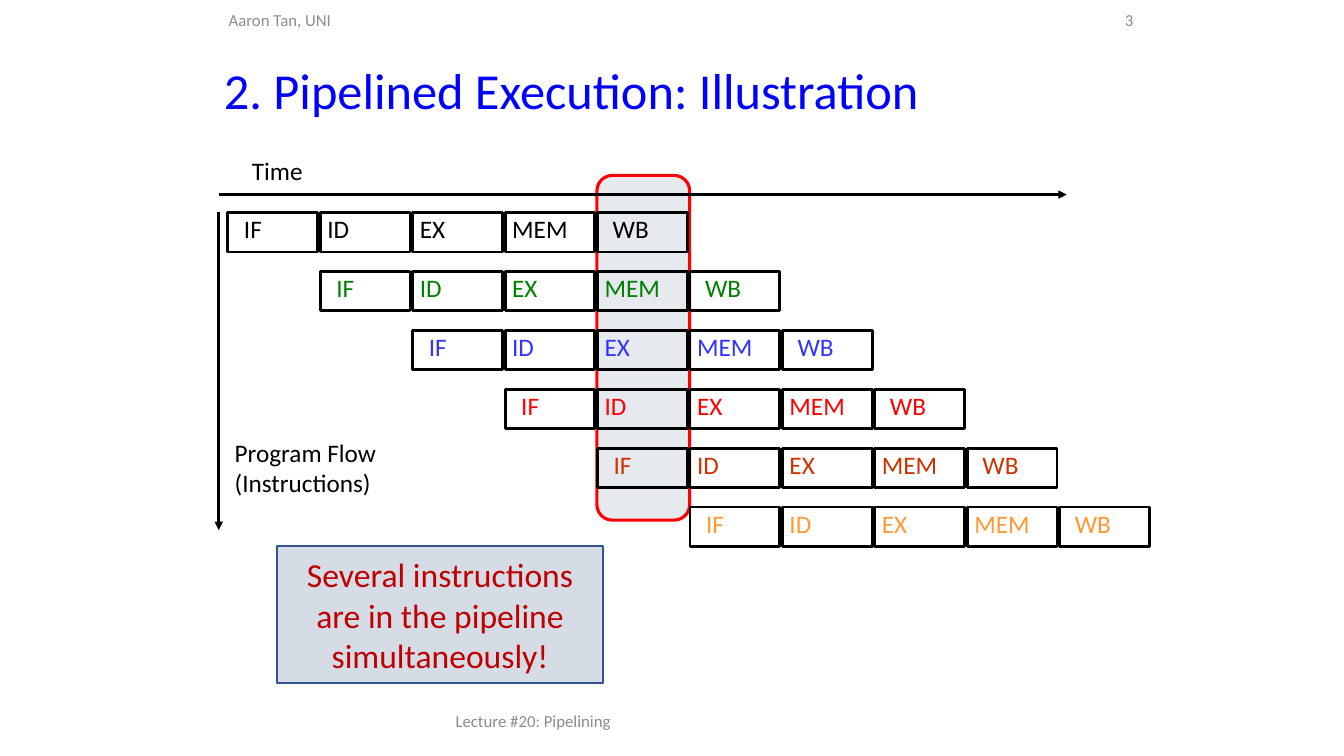
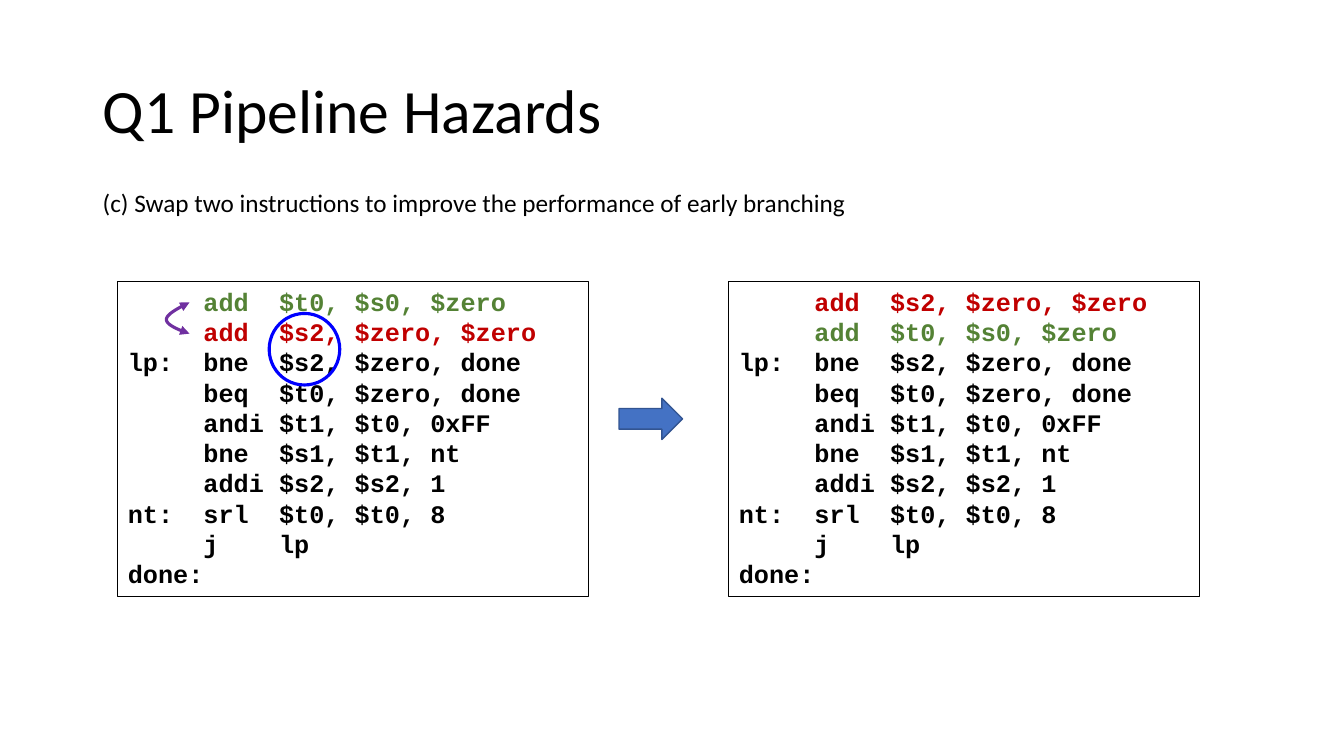
from lxml.etree import SubElement
from pptx import Presentation
from pptx.dml.color import RGBColor
from pptx.enum.shapes import MSO_CONNECTOR as Link, MSO_SHAPE as Preset
from pptx.enum.text import MSO_ANCHOR as Anchor, PP_ALIGN as Align
from pptx.oxml.ns import qn
from pptx.util import Inches, Pt

FONT, CODE_FONT = "Calibri", "Courier New"
BLACK, GREY, BLUE, RED = "000000", "8C8C8C", "0000FF", "FF0000"
PALE, CRIMSON, GREEN, EDGE = "D6DCE5", "C00000", "548235", "325491"
ACCENT, PURPLE = "4472C4", "7030A0"

MARGIN_NOTES = [
    ("Lecture #20: Pipelining", (4.42, 6.95, 4.5, 0.4), Align.LEFT),
    ("3", (10.39, 0.02, 0.95, 0.36), Align.RIGHT),
    ("Aaron Tan, UNI", (2.17, 0.02, 3.17, 0.36), Align.LEFT),
]
STAGES = [("IF", 0.16), ("ID", 0.07), ("EX", 0.07), ("MEM", 0.07), ("WB", 0.15)]
INSTRUCTION_COLOURS = [BLACK, "008000", "3333FF", RED, "CC3300", "FF9933"]
FIRST_CELL, LAST_CELL, CELL_SIZE = (2.26, 2.11), (10.51, 5.03), (0.89, 0.39)
AXES = [
    (["Program Flow", "(Instructions)"], (2.23, 4.29, 1.8, 0.7), (2.17, 2.1, 2.17, 5.26)),
    (["Time"], (2.4, 1.49, 0.9, 0.4), (2.17, 1.93, 10.58, 1.93)),
]
CALLOUT = "Several instructions are in the pipeline simultaneously!"

TASK = "(c) Swap two instructions to improve the performance of early branching"
LOAD = ("", "add", "$t0, $s0, $zero", GREEN)
CLEAR = ("", "add", "$s2, $zero, $zero", CRIMSON)
LOOP = [
    ("lp:", "bne", "$s2, $zero, done", BLACK),
    ("", "beq", "$t0, $zero, done", BLACK),
    ("", "andi", "$t1, $t0, 0xFF", BLACK),
    ("", "bne", "$s1, $t1, nt", BLACK),
    ("", "addi", "$s2, $s2, 1", BLACK),
    ("nt:", "srl", "$t0, $t0, 8", BLACK),
    ("", "j", "lp", BLACK),
    ("done:", "", "", BLACK),
]
LISTINGS = [(1.17, [LOAD, CLEAR] + LOOP), (7.23, [CLEAR, LOAD] + LOOP)]
CODE_TABS = (0.75, 1.5)
SWAP_CURVES = [
    [(1.88, 3.0), (1.76, 3.06), (1.65, 3.12), (1.65, 3.17)],
    [(1.65, 3.17), (1.65, 3.22), (1.76, 3.27), (1.88, 3.31)],
]


def colour(hex_code):
    return RGBColor.from_string(hex_code)


def add_run(paragraph, text, size, ink, font=FONT, bold=False):
    run = paragraph.add_run()
    run.text = text
    run.font.size = Pt(size)
    run.font.name = font
    run.font.bold = bold
    run.font.color.rgb = colour(ink)


def fill_lines(frame, lines, size, ink, align=Align.LEFT, anchor=Anchor.TOP):
    frame.word_wrap = True
    frame.vertical_anchor = anchor
    for index, line in enumerate(lines):
        paragraph = frame.add_paragraph() if index else frame.paragraphs[0]
        paragraph.alignment = align
        add_run(paragraph, line, size, ink)


def add_label(slide, box, lines, size, ink, **layout):
    label = slide.shapes.add_textbox(*map(Inches, box))
    fill_lines(label.text_frame, lines, size, ink, **layout)


def paint(shape, fill, edge, weight):
    shape.shadow.inherit = False
    if fill:
        shape.fill.solid()
        shape.fill.fore_color.rgb = colour(fill)
    else:
        shape.fill.background()
    shape.line.color.rgb = colour(edge)
    shape.line.width = Pt(weight)


def add_block(slide, preset, box, fill, edge, weight):
    block = slide.shapes.add_shape(preset, *map(Inches, box))
    paint(block, fill, edge, weight)
    return block


def add_arrowheads(stroke, *ends):
    line = stroke.line._get_or_add_ln()
    for end in ends:
        SubElement(line, qn("a:" + end), type="triangle")


def add_titled_slide(deck, title, box, size, ink):
    slide = deck.slides.add_slide(deck.slide_layouts[5])
    heading = slide.shapes.title
    heading.left, heading.top, heading.width, heading.height = map(Inches, box)
    fill_lines(heading.text_frame, [title], size, ink, anchor=Anchor.MIDDLE)
    heading.text_frame.paragraphs[0].line_spacing = 0.9
    return slide


def add_axis(slide, ends):
    axis = slide.shapes.add_connector(Link.STRAIGHT, *map(Inches, ends))
    axis.line.color.rgb = colour(BLACK)
    axis.line.width = Pt(2)
    add_arrowheads(axis, "tailEnd")
    SubElement(axis._element.spPr, qn("a:effectLst"))


def add_pipeline(slide):
    step = (LAST_CELL[0] - FIRST_CELL[0]) / (len(INSTRUCTION_COLOURS) + len(STAGES) - 2)
    drop = (LAST_CELL[1] - FIRST_CELL[1]) / (len(INSTRUCTION_COLOURS) - 1)
    for row, ink in enumerate(INSTRUCTION_COLOURS):
        for column, (stage, inset) in enumerate(STAGES):
            corner = (FIRST_CELL[0] + (row + column) * step, FIRST_CELL[1] + row * drop)
            cell = add_block(slide, Preset.RECTANGLE, corner + CELL_SIZE, None, BLACK, 2)
            frame = cell.text_frame
            frame.margin_left, frame.margin_top = Inches(inset), Inches(0.01)
            frame.margin_right = frame.margin_bottom = 0
            fill_lines(frame, [stage], 18, ink)


def build_illustration(deck):
    slide = add_titled_slide(deck, "2. Pipelined Execution: Illustration",
                             (2.12, 0.57, 9.42, 0.7), 36, BLUE)
    for note, box, align in MARGIN_NOTES:
        add_label(slide, box, [note], 12, GREY, align=align, anchor=Anchor.MIDDLE)
    cycle = add_block(slide, Preset.ROUNDED_RECTANGLE, (5.92, 1.74, 0.92, 3.42), PALE, RED, 2.25)
    tint = cycle._element.spPr.find(qn("a:solidFill"))[0]
    SubElement(tint, qn("a:alpha"), val="60000")
    add_pipeline(slide)
    for caption, box, ends in AXES:
        add_axis(slide, ends)
        add_label(slide, box, caption, 18, BLACK)
    callout = add_block(slide, Preset.RECTANGLE, (2.75, 5.42, 3.23, 1.36), PALE, EDGE, 1.25)
    fill_lines(callout.text_frame, [CALLOUT], 24, CRIMSON, Align.CENTER, Anchor.MIDDLE)


def add_listing(slide, left, instructions):
    panel = add_block(slide, Preset.RECTANGLE, (left, 2.79, 4.67, 3.13), None, BLACK, 0.75)
    frame = panel.text_frame
    frame.word_wrap = True
    frame.vertical_anchor = Anchor.TOP
    for index, (target, operation, operands, ink) in enumerate(instructions):
        paragraph = frame.add_paragraph() if index else frame.paragraphs[0]
        paragraph.alignment = Align.LEFT
        stops = SubElement(paragraph._p.get_or_add_pPr(), qn("a:tabLst"))
        for position in CODE_TABS:
            SubElement(stops, qn("a:tab"), pos=str(Inches(position)), algn="l")
        code = "\t".join([target, operation, operands]).rstrip()
        add_run(paragraph, code, 18, ink, CODE_FONT, True)


def curve_point(controls, t):
    weights = ((1 - t) ** 3, 3 * t * (1 - t) ** 2, 3 * t ** 2 * (1 - t), t ** 3)
    return tuple(Inches(sum(w * p[axis] for w, p in zip(weights, controls))) for axis in (0, 1))


def add_swap_arrow(slide, pieces=10):
    points = [curve_point(controls, n / pieces)
              for controls in SWAP_CURVES for n in range(1, pieces + 1)]
    outline = slide.shapes.build_freeform(*map(Inches, SWAP_CURVES[0][0]))
    outline.add_line_segments(points, close=False)
    swap = outline.convert_to_shape()
    paint(swap, None, PURPLE, 2.25)
    add_arrowheads(swap, "headEnd", "tailEnd")


def build_hazards(deck):
    slide = add_titled_slide(deck, "Q1 Pipeline Hazards", (0.92, 0.4, 11.5, 1.45), 44, BLACK)
    add_label(slide, (0.92, 1.81, 7.78, 0.4), [TASK], 18, BLACK)
    for left, instructions in LISTINGS:
        add_listing(slide, left, instructions)
    add_block(slide, Preset.RIGHT_ARROW, (6.14, 3.95, 0.63, 0.41), ACCENT, EDGE, 1)
    add_block(slide, Preset.OVAL, (2.67, 3.11, 0.7, 0.71), None, BLUE, 2.25)
    add_swap_arrow(slide)


def main():
    deck = Presentation()
    deck.slide_width, deck.slide_height = Inches(13.33), Inches(7.5)
    build_illustration(deck)
    build_hazards(deck)
    deck.save("out.pptx")


if __name__ == "__main__":
    main()
